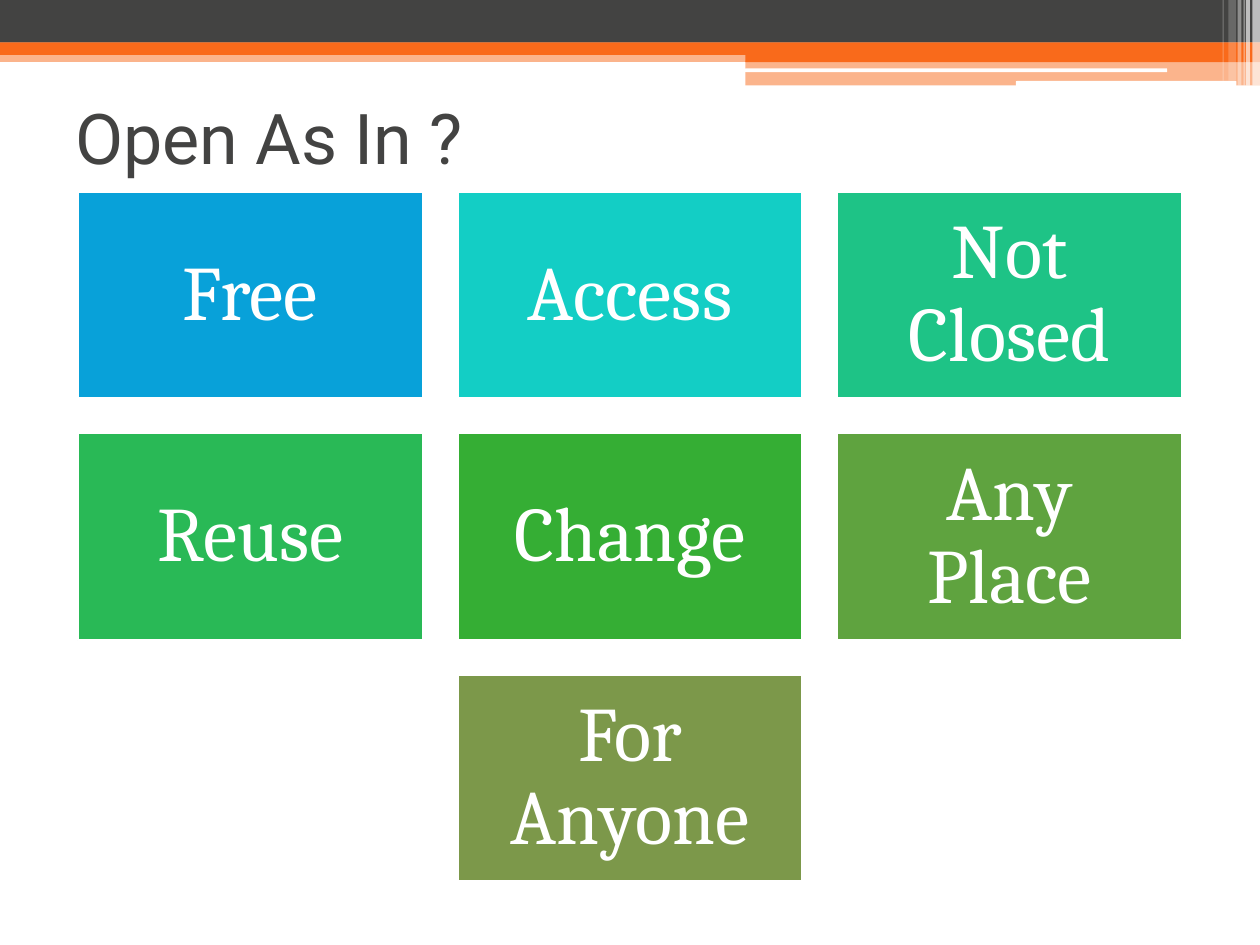
from dataclasses import dataclass

from lxml.etree import SubElement
from pptx import Presentation
from pptx.dml.color import RGBColor
from pptx.enum.shapes import MSO_SHAPE
from pptx.enum.text import MSO_ANCHOR, PP_ALIGN
from pptx.oxml.ns import qn
from pptx.shapes.autoshape import Shape
from pptx.slide import Slide
from pptx.text.text import TextFrame
from pptx.util import Pt

SLIDE_WIDTH, SLIDE_HEIGHT = 720, 540
TILE_WIDTH, TILE_HEIGHT = 197.2, 118.3
TILE_GAP = 19.7
TILES_TOP = 109.5

COLORS = {
    "white": "FFFFFF",
    "charcoal": "434342",
    "orange": "F96A1B",
    "blue": "08A1D9",
    "turquoise": "13CEC5",
    "mint": "1EC386",
    "emerald": "29B956",
    "green": "35AE34",
    "leaf": "5FA33F",
    "olive": "7C984A",
}


@dataclass
class Band:
    left: float
    top: float
    width: float
    height: float
    color: str
    opacity: int = 100
    rounded: bool = False


@dataclass
class Tile:
    text: str
    color: str


BANDS = [
    Band(0, 28.8, 720, 6.6, "orange", 50),
    Band(0, 0, 720, 24.4, "charcoal"),
    Band(0, 24.2, 720, 7.2, "orange"),
    Band(426, 28.3, 294, 7.2, "orange"),
    Band(426, 34.6, 294, 14.2, "orange", 50),
    Band(425.8, 39.1, 241.2, 2.2, "white", rounded=True),
    Band(580.5, 46.3, 126, 2.9, "white", rounded=True),
    # Vertical stripes at the right edge
    Band(715.6, 0, 4.4, 48.9, "white", 65),
    Band(712, 0, 2.2, 48.9, "white", 65),
    Band(710.6, 0, 0.7, 48.9, "white", 60),
    Band(707.2, 0, 2.2, 48.9, "white", 40),
    Band(702, 0, 4.3, 46.1, "white", 20),
    Band(698.6, 0, 0.7, 46.1, "white", 30),
]

TILE_ROWS = [
    [Tile("Free", "blue"), Tile("Access", "turquoise"), Tile("Not Closed", "mint")],
    [Tile("Reuse", "emerald"), Tile("Change", "green"), Tile("Any Place", "leaf")],
    [Tile("For Anyone", "olive")],
]

TITLE_FONT = {"name": "Roboto", "size": Pt(40)}
TILE_FONT = {"name": "Cambria", "size": Pt(44)}
TITLE_FRAME = {"word_wrap": True, "vertical_anchor": MSO_ANCHOR.MIDDLE}
TILE_FRAME = TITLE_FRAME | {
    f"margin_{side}": Pt(13) for side in ("left", "top", "right", "bottom")
}


def rgb(color: str) -> RGBColor:
    return RGBColor.from_string(COLORS[color])


def apply_format(target: object, values: dict) -> None:
    for name, value in values.items():
        setattr(target, name, value)


def write_text(frame: TextFrame, text: str, font: dict, color: str) -> None:
    run = frame.paragraphs[0].add_run()
    run.text = text
    apply_format(run.font, font)
    run.font.color.rgb = rgb(color)


def add_block(slide: Slide, kind: MSO_SHAPE, left: float, top: float,
              width: float, height: float, color: str) -> Shape:
    shape = slide.shapes.add_shape(kind, Pt(left), Pt(top), Pt(width), Pt(height))
    shape.shadow.inherit = False
    shape.fill.solid()
    shape.fill.fore_color.rgb = rgb(color)
    return shape


def add_band(slide: Slide, band: Band) -> None:
    kind = MSO_SHAPE.ROUNDED_RECTANGLE if band.rounded else MSO_SHAPE.RECTANGLE
    shape = add_block(slide, kind, band.left, band.top, band.width, band.height, band.color)
    shape.line.fill.background()
    if band.opacity < 100:
        color_element = shape.fill._xPr.find(qn("a:solidFill"))[0]
        SubElement(color_element, qn("a:alpha"), val=str(band.opacity * 1000))


def add_title(slide: Slide, text: str) -> None:
    box = slide.shapes.add_textbox(Pt(36), Pt(36), Pt(648), Pt(84))
    apply_format(box.text_frame, TITLE_FRAME)
    write_text(box.text_frame, text, TITLE_FONT, "charcoal")


def add_tile(slide: Slide, tile: Tile, left: float, top: float) -> None:
    shape = add_block(slide, MSO_SHAPE.RECTANGLE, left, top, TILE_WIDTH, TILE_HEIGHT, tile.color)
    shape.line.color.rgb = rgb("white")
    shape.line.width = Pt(1.5)
    apply_format(shape.text_frame, TILE_FRAME)
    apply_format(shape.text_frame.paragraphs[0],
                 {"alignment": PP_ALIGN.CENTER, "line_spacing": 0.9})
    write_text(shape.text_frame, tile.text, TILE_FONT, "white")


def add_tile_row(slide: Slide, tiles: list[Tile], top: float) -> None:
    """Draw a row of tiles centred on the slide."""
    pitch = TILE_WIDTH + TILE_GAP
    left = (SLIDE_WIDTH - len(tiles) * pitch + TILE_GAP) / 2
    for column, tile in enumerate(tiles):
        add_tile(slide, tile, left + column * pitch, top)


def main() -> None:
    presentation = Presentation()
    presentation.slide_width = Pt(SLIDE_WIDTH)
    presentation.slide_height = Pt(SLIDE_HEIGHT)
    slide = presentation.slides.add_slide(presentation.slide_layouts[6])

    # Header decoration
    for band in BANDS:
        add_band(slide, band)

    # Title
    add_title(slide, "Open As In ?")

    # Tiles
    for row, tiles in enumerate(TILE_ROWS):
        add_tile_row(slide, tiles, TILES_TOP + row * (TILE_HEIGHT + TILE_GAP))

    presentation.save("out.pptx")


if __name__ == "__main__":
    main()
